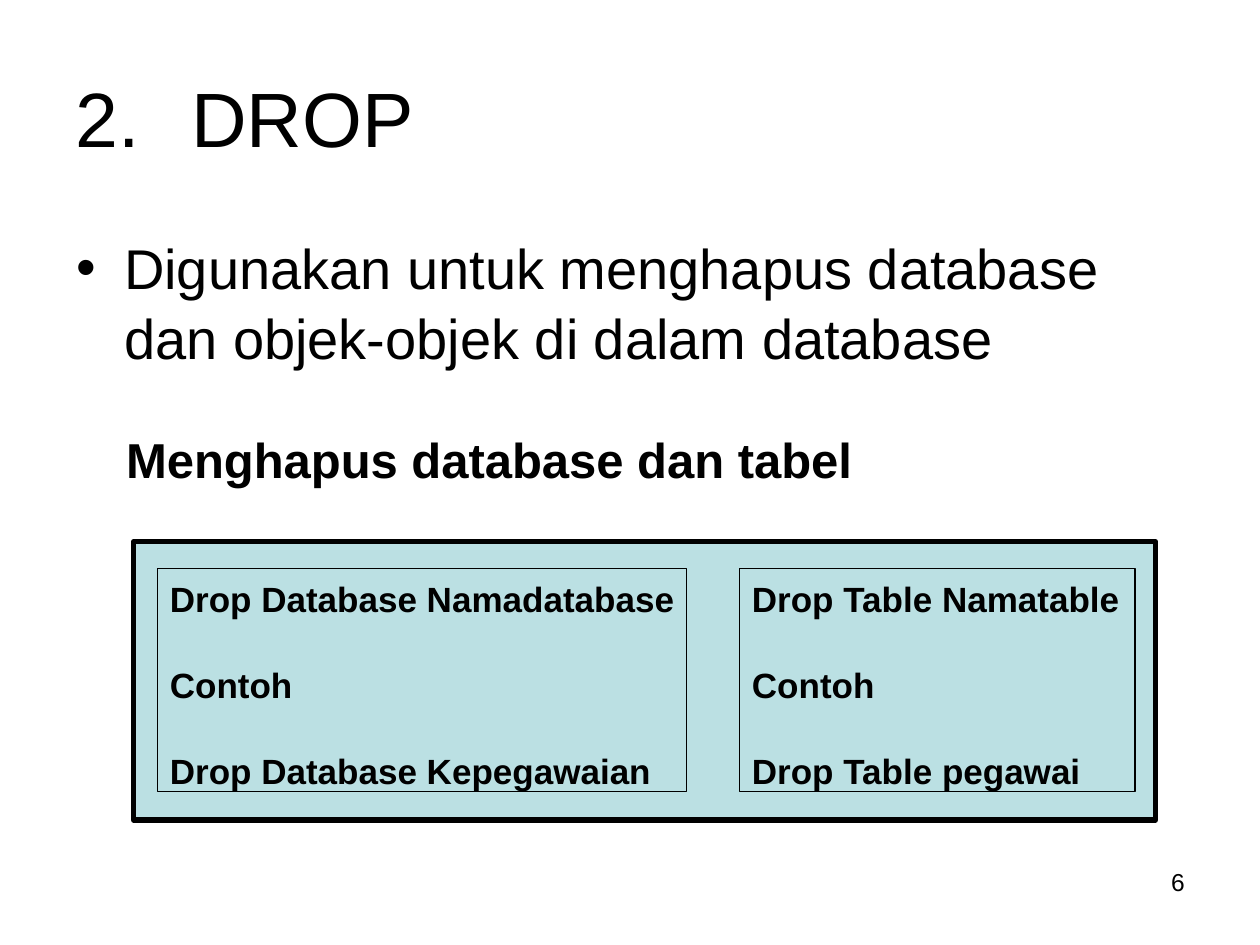
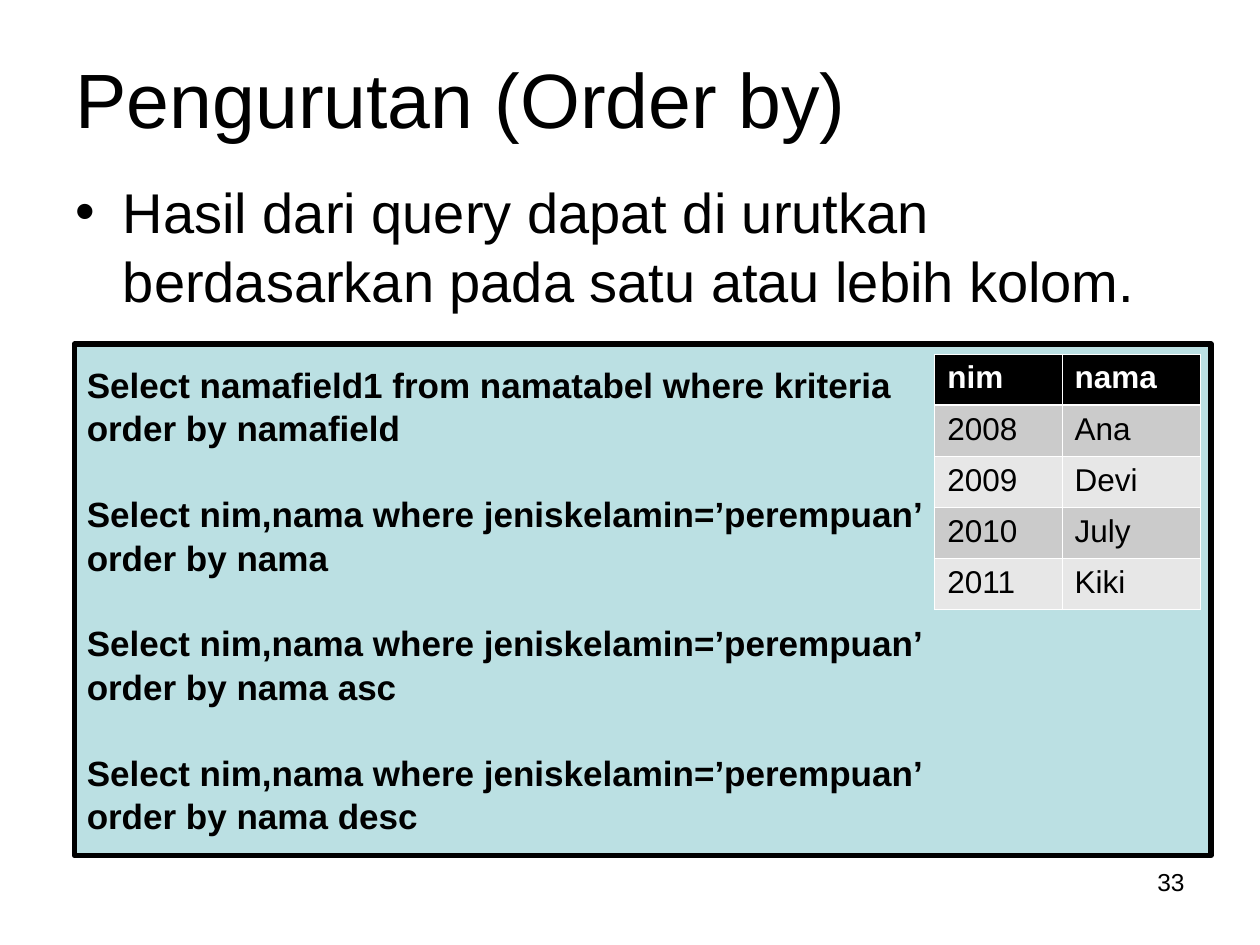
"""Build two SQL lesson slides: dropping objects and ordering query results."""
from dataclasses import dataclass

from lxml import etree
from pptx import Presentation
from pptx.dml.color import RGBColor
from pptx.enum import shapes, text
from pptx.oxml import ns
from pptx.util import Pt

DROP = {
    "title": "DROP",
    "number": 2,
    "point": "Digunakan untuk menghapus database dan objek-objek di dalam database",
    "heading": "Menghapus database dan tabel",
    "examples": [
        ["Drop Database Namadatabase", "Contoh", "Drop Database Kepegawaian"],
        ["Drop Table Namatable", "Contoh", "Drop Table pegawai"],
    ],
    "page": "6",
}
ORDER = {
    "title": "Pengurutan (Order by)",
    "point": "Hasil dari query dapat di urutkan berdasarkan pada satu atau lebih kolom.",
    "queries": [
        ("Select namafield1 from namatabel where kriteria", "order by namafield"),
        ("Select nim,nama where jeniskelamin=’perempuan’", "order by nama"),
        ("Select nim,nama where jeniskelamin=’perempuan’", "order by nama asc"),
        ("Select nim,nama where jeniskelamin=’perempuan’", "order by nama desc"),
    ],
    "result": [("nim", "nama"), ("2008", "Ana"), ("2009", "Devi"),
               ("2010", "July"), ("2011", "Kiki")],
    "page": "33",
}


@dataclass(frozen=True)
class Theme:
    font: str = "Arial"
    ink: RGBColor = RGBColor(0, 0, 0)
    paper: RGBColor = RGBColor(255, 255, 255)
    panel: RGBColor = RGBColor.from_string("BBE0E3")
    bands: tuple = (RGBColor.from_string("E7E7E7"), RGBColor.from_string("CBCBCB"))
    title: int = 44
    body: int = 32
    heading: int = 28
    code: int = 20
    table: int = 18
    page: int = 14
    leading: float = 1.045
    code_gap: int = 24


THEME = Theme()


def place(part, left, top, width, height):
    part.left, part.top, part.width, part.height = map(Pt, (left, top, width, height))


def set_font(paragraph, size, bold=False, color=THEME.ink):
    font = paragraph.font
    font.name, font.size, font.bold = THEME.font, Pt(size), bold
    font.color.rgb = color


def add_bullet(paragraph, indent, tag, **attributes):
    properties = paragraph._p.get_or_add_pPr()
    properties.set("marL", str(Pt(indent)))
    properties.set("indent", str(-Pt(indent)))
    etree.SubElement(properties, ns.qn(tag), attributes)


def fill_title(slide, lesson, box):
    title = slide.shapes.title
    place(title, *box)
    title.text_frame.text = lesson["title"]
    title.text_frame.vertical_anchor = text.MSO_ANCHOR.MIDDLE
    paragraph = title.text_frame.paragraphs[0]
    paragraph.alignment = text.PP_ALIGN.LEFT
    if "number" in lesson:
        add_bullet(paragraph, 66, "a:buAutoNum", type="arabicPeriod",
                   startAt=str(lesson["number"]))
    set_font(paragraph, THEME.title)


def fill_point(slide, point, box):
    body = slide.placeholders[1]
    place(body, *box)
    body.text_frame.text = point
    paragraph = body.text_frame.paragraphs[0]
    paragraph.space_before = Pt(0)
    paragraph.line_spacing = THEME.leading
    add_bullet(paragraph, 27, "a:buChar", char="•")
    set_font(paragraph, THEME.body)


def add_label(slide, label, box, size, bold=False, align=text.PP_ALIGN.LEFT):
    frame = slide.shapes.add_textbox(*map(Pt, box)).text_frame
    frame.word_wrap = True
    frame.text = label
    frame.paragraphs[0].alignment = align
    set_font(frame.paragraphs[0], size, bold)


def add_panel(slide, box, line_width, fill=None):
    panel = slide.shapes.add_shape(shapes.MSO_SHAPE.RECTANGLE, *map(Pt, box))
    panel.shadow.inherit = False
    panel.line.color.rgb = THEME.ink
    panel.line.width = Pt(line_width)
    if fill is None:
        panel.fill.background()
    else:
        panel.fill.solid()
        panel.fill.fore_color.rgb = fill
    return panel


def write_code(panel, groups, inset_top, wrap):
    frame = panel.text_frame
    frame.word_wrap = wrap
    frame.vertical_anchor = text.MSO_ANCHOR.TOP
    frame.margin_top = Pt(inset_top)
    lines = [(line, group > 0 and row == 0)
             for group, rows in enumerate(groups) for row, line in enumerate(rows)]
    frame.text = "\n".join(line for line, _ in lines)
    for paragraph, (_, starts_group) in zip(frame.paragraphs, lines):
        paragraph.alignment = text.PP_ALIGN.LEFT
        paragraph.line_spacing = THEME.leading
        paragraph.space_before = Pt(THEME.code_gap if starts_group else 0)
        set_font(paragraph, THEME.code, bold=True)


def add_borders(cell, widths):
    properties = cell._tc.get_or_add_tcPr()
    for side, width in widths.items():
        line = etree.SubElement(properties, ns.qn(f"a:ln{side}"), w=str(Pt(width)))
        fill = etree.SubElement(line, ns.qn("a:solidFill"))
        etree.SubElement(fill, ns.qn("a:srgbClr"), val=str(THEME.paper))


def add_result(slide, records, left, top, widths, row_height):
    table = slide.shapes.add_table(
        len(records), len(widths), Pt(left), Pt(top),
        Pt(sum(widths)), Pt(row_height * len(records))).table
    for column, width in zip(table.columns, widths):
        column.width = Pt(width)
    for row, record in enumerate(records):
        header = row == 0
        for column, entry in enumerate(record):
            cell = table.cell(row, column)
            cell.text = entry
            add_borders(cell, {"L": 0.45, "R": 0.45, "T": 1.47 if row == 1 else 0.45,
                               "B": 1.47 if header else 0.45})
            cell.fill.solid()
            cell.fill.fore_color.rgb = THEME.ink if header else THEME.bands[row % 2]
            set_font(cell.text_frame.paragraphs[0], THEME.table, header,
                     THEME.paper if header else THEME.ink)


def add_lesson(deck, lesson, title_box, point_box):
    slide = deck.slides.add_slide(deck.slide_layouts[1])
    fill_title(slide, lesson, title_box)
    fill_point(slide, lesson["point"], point_box)
    add_label(slide, lesson["page"], (516, 492, 168, 37.5), THEME.page,
              align=text.PP_ALIGN.RIGHT)
    return slide


def main():
    deck = Presentation()
    deck.slide_width, deck.slide_height = Pt(720), Pt(540)

    drop = add_lesson(deck, DROP, (36, 21.6, 648, 90), (36.7, 128.5, 648, 356))
    add_panel(drop, (76.3, 309.6, 584, 159), 3, THEME.panel)
    add_label(drop, DROP["heading"], (65, 242, 471, 41), THEME.heading, bold=True)
    for example, (left, width) in zip(DROP["examples"], ((90, 302.5), (422.6, 226))):
        write_code(add_panel(drop, (left, 324.7, width, 127.5), 0.75),
                   [[line] for line in example], 4.5, False)

    order = add_lesson(deck, ORDER, (36, 21.6, 648, 68.4), (36, 96, 648, 387))
    query_panel = add_panel(order, (42.5, 196.6, 649.5, 292.3), 3, THEME.panel)
    write_code(query_panel, ORDER["queries"], 10, True)
    add_result(order, ORDER["result"], 534.2, 202.3, (72.7, 79.2), 29.25)

    deck.save("out.pptx")


if __name__ == "__main__":
    main()
